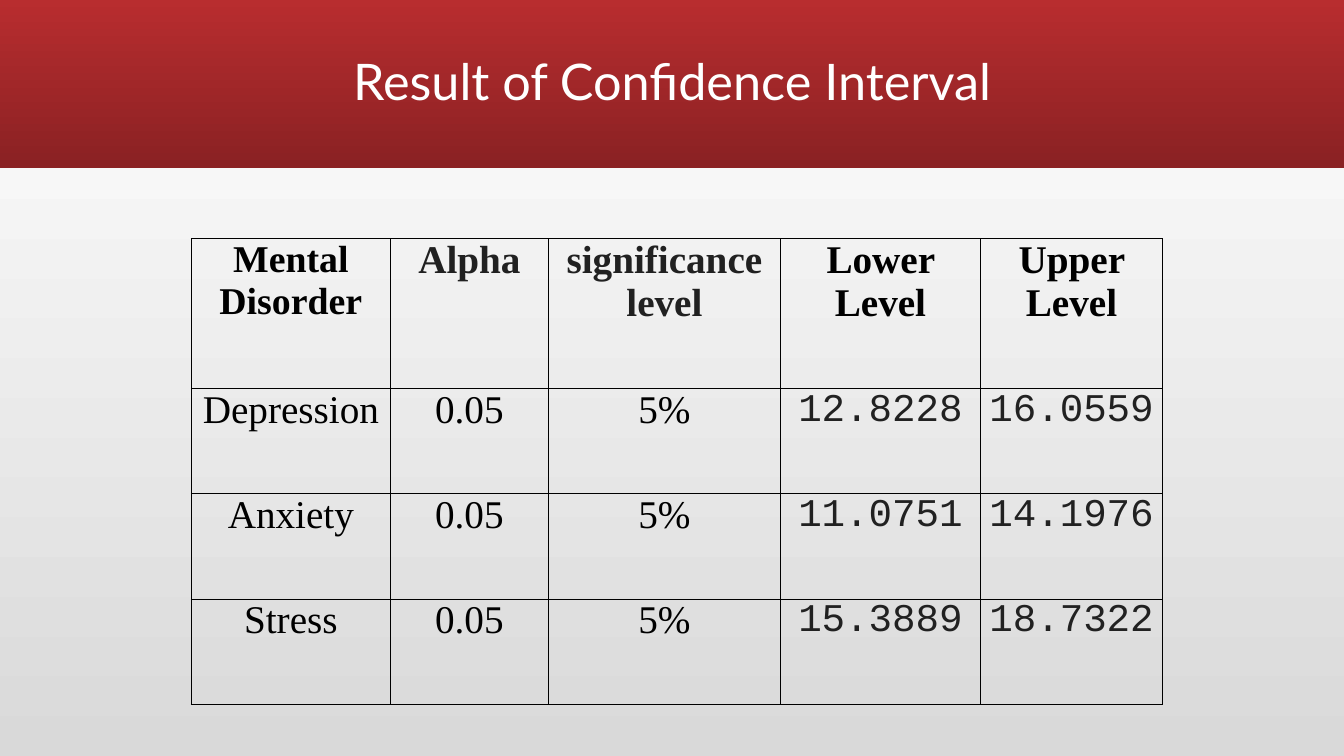
from dataclasses import dataclass
from typing import Any

from lxml import etree
from pptx import Presentation
from pptx import util as u
from pptx.dml.color import RGBColor
from pptx.enum import shapes, text
from pptx.oxml.ns import qn

WHITE = RGBColor(0xFF, 0xFF, 0xFF)
BLACK = RGBColor(0x00, 0x00, 0x00)
CHARCOAL = RGBColor(0x21, 0x21, 0x21)
GREY = RGBColor(0xD9, 0xD9, 0xD9)
RED = RGBColor(0xB8, 0x2D, 0x2F)
DARK_RED = RGBColor(0x8A, 0x21, 0x23)

HEADINGS = ["Mental Disorder", "Alpha", "significance level", "Lower Level", "Upper Level"]
INTERVALS = [
    ("Depression", "12.8228", "16.0559"),
    ("Anxiety", "11.0751", "14.1976"),
    ("Stress", "15.3889", "18.7322"),
]
COLUMN_WIDTHS = [5.02, 3.98, 5.85, 5.04, 4.59]
ROW_HEIGHTS = [3.78, 2.65, 2.65, 2.65]


@dataclass
class Deck:
    slide: Any
    title_font: str = "Lato"
    body_font: str = "Times New Roman"
    number_font: str = "Courier New"
    title_size: float = 36
    body_size: float = 28
    border_width: float = 0.5

    def gradient(self, fill, start, end, angle):
        """Fill from start to end; the angle runs counter-clockwise."""
        fill.gradient()
        fill.gradient_angle = angle
        for stop, color in zip(fill.gradient_stops, (start, end)):
            stop.color.rgb = color

    def background(self):
        self.gradient(self.slide.background.fill, GREY, WHITE, 90)

    def banner(self, width, height):
        banner = self.slide.shapes.add_shape(
            shapes.MSO_SHAPE.RECTANGLE, 0, 0, width, height)
        banner.shadow.inherit = False
        banner.line.fill.background()
        self.gradient(banner.fill, RED, DARK_RED, 270)

    def centred_run(self, paragraph, words, font, size, color, bold=False):
        paragraph.alignment = text.PP_ALIGN.CENTER
        run = paragraph.add_run()
        run.text = words
        run.font.name = font
        run.font.size = u.Pt(size)
        run.font.bold = bold
        run.font.color.rgb = color

    def title(self, words, left, top, width, height):
        frame = self.slide.shapes.add_textbox(left, top, width, height).text_frame
        frame.word_wrap = True
        frame.vertical_anchor = text.MSO_ANCHOR.MIDDLE
        paragraph = frame.paragraphs[0]
        paragraph.line_spacing = 0.9
        self.centred_run(paragraph, words, self.title_font, self.title_size, WHITE)

    def borders(self, cell):
        properties = cell._tc.get_or_add_tcPr()
        for index, side in enumerate(("a:lnL", "a:lnR", "a:lnT", "a:lnB")):
            line = etree.Element(qn(side), w=str(u.Pt(self.border_width)))
            fill = etree.SubElement(line, qn("a:solidFill"))
            etree.SubElement(fill, qn("a:srgbClr"), val=str(BLACK))
            properties.insert(index, line)

    def cell(self, cell, words, font, size, color, bold):
        cell.margin_left = cell.margin_right = u.Cm(0.18)
        cell.margin_top = cell.margin_bottom = 0
        cell.fill.background()
        self.borders(cell)
        self.centred_run(cell.text_frame.paragraphs[0], words, font, size, color, bold)

    def interval_table(self, left, top):
        rows = [HEADINGS] + [
            (disorder, "0.05", "5%", lower, upper)
            for disorder, lower, upper in INTERVALS]
        table = self.slide.shapes.add_table(
            len(rows), len(HEADINGS), left, top,
            u.Cm(sum(COLUMN_WIDTHS)), u.Cm(sum(ROW_HEIGHTS))).table
        table.first_row = table.horz_banding = False
        for column, width in zip(table.columns, COLUMN_WIDTHS):
            column.width = u.Cm(width)
        for row, height in zip(table.rows, ROW_HEIGHTS):
            row.height = u.Cm(height)

        for r, row in enumerate(rows):
            for c, words in enumerate(row):
                heading = r == 0
                is_limit = not heading and c >= 3
                font = self.number_font if is_limit else self.body_font
                size = 27 if heading and c == 0 else self.body_size
                dark_grey = is_limit or (heading and c in (1, 2))
                color = CHARCOAL if dark_grey else BLACK
                self.cell(table.cell(r, c), words, font, size, color, heading)


def main():
    presentation = Presentation()
    presentation.slide_width = u.Cm(33.87)
    presentation.slide_height = u.Cm(19.05)
    deck = Deck(presentation.slides.add_slide(presentation.slide_layouts[6]))
    deck.background()
    deck.banner(presentation.slide_width, u.Cm(4.23))
    deck.title("Result of Confidence Interval",
               u.Cm(2.97), u.Cm(0.28), u.Cm(27.94), u.Cm(3.68))
    deck.interval_table(u.Cm(4.82), u.Cm(6.01))
    presentation.save("out.pptx")


if __name__ == "__main__":
    main()
